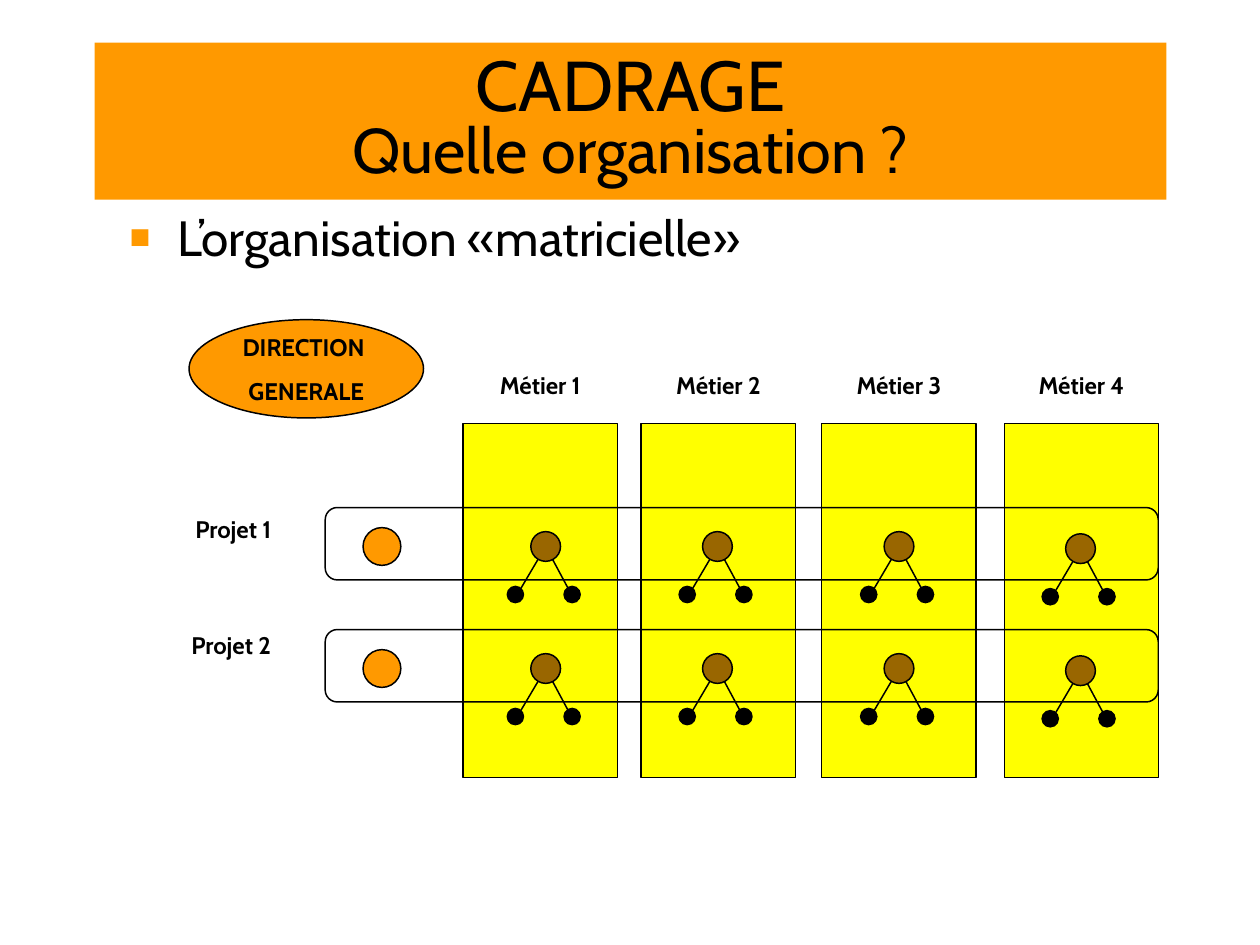
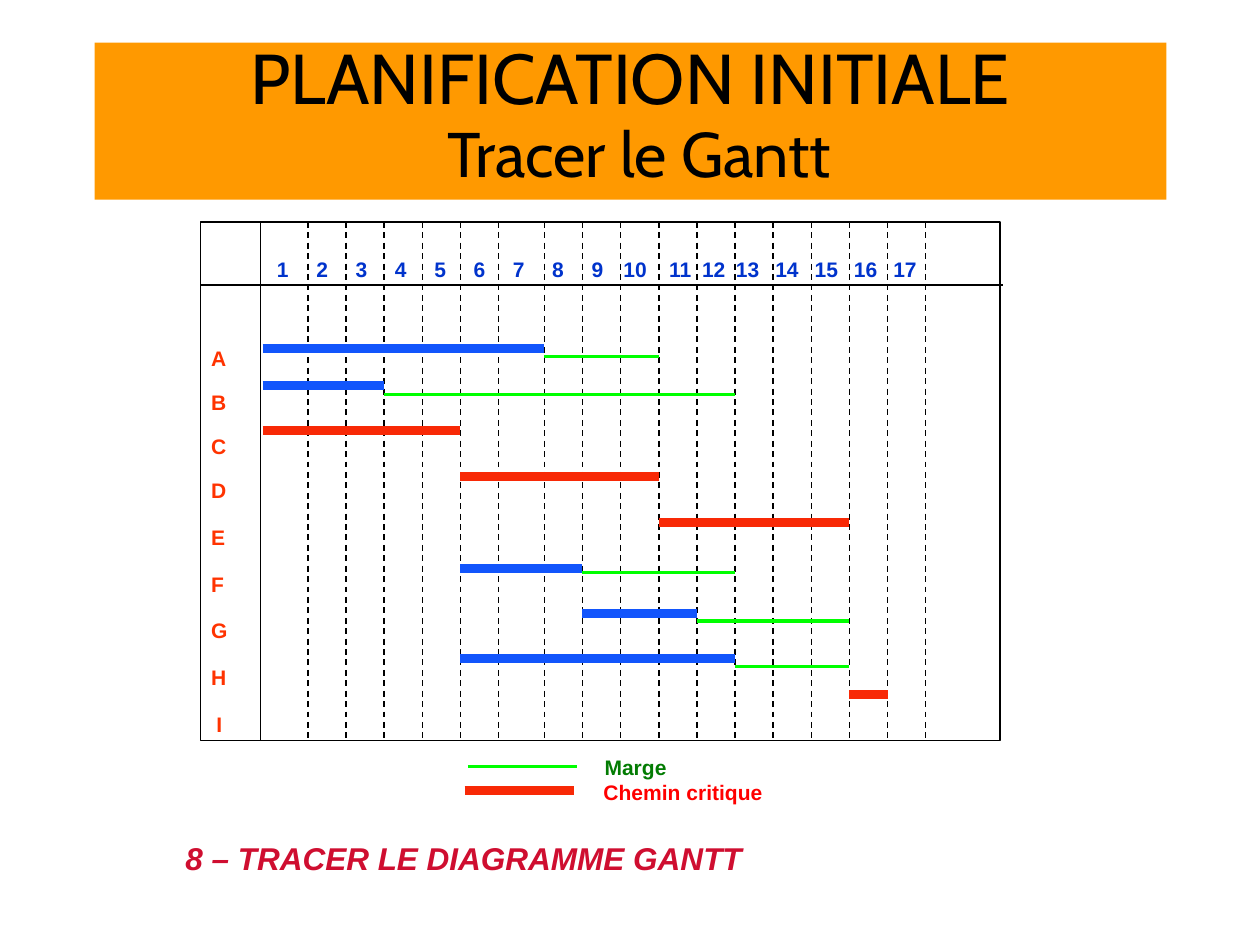
from dataclasses import dataclass

from lxml import etree
from pptx import Presentation
from pptx.dml.color import RGBColor
from pptx.enum.dml import MSO_LINE
from pptx.enum.shapes import MSO_CONNECTOR, MSO_SHAPE
from pptx.enum.text import MSO_ANCHOR, PP_ALIGN
from pptx.oxml.ns import qn
from pptx.util import Cm, Inches, Pt

RECT, OVAL, ROUND = MSO_SHAPE.RECTANGLE, MSO_SHAPE.OVAL, MSO_SHAPE.ROUNDED_RECTANGLE
STRAIGHT, DASH = MSO_CONNECTOR.STRAIGHT, MSO_LINE.DASH
LEFT, CENTER = PP_ALIGN.LEFT, PP_ALIGN.CENTER
TOP, MIDDLE = MSO_ANCHOR.TOP, MSO_ANCHOR.MIDDLE

CELL = 0.1  # inches, side of a square grid cell


@dataclass(frozen=True)
class Theme:
    font: str = "Cabin"
    chart_font: str = "Arial"
    ink: str = "000000"
    paper: str = "FFFFFF"
    orange: str = "FF9900"
    yellow: str = "FFFF00"
    brown: str = "996600"
    task: str = "1255FC"
    critical: str = "F82906"
    slack: str = "00FF00"
    day: str = "0033CC"
    letter: str = "FF3300"
    slack_text: str = "037C03"
    critical_text: str = "FF0000"
    caption: str = "CF0E30"
    title_size: int = 47
    title_gap_size: int = 51
    subtitle_size: int = 42
    body_size: int = 33
    caption_size: int = 21
    label_size: int = 16
    chart_size: int = 14
    thin: int = 1
    slack_width: int = 2
    bar_width: int = 6


T = Theme()


def grid(*cells):
    return [Inches(c * CELL) for c in cells]


def rgb(value):
    return RGBColor.from_string(value)


def add_run(p, text, size, color=T.ink, font=T.font, bold=False, italic=False):
    r = p.add_run()
    r.text = text
    f = r.font
    f.name, f.size, f.bold, f.italic = font, Pt(size), bold, italic
    f.color.rgb = rgb(color)


def add_text(tf, text, *, align=LEFT, first=False, before=0, line=None, indent=0,
             bullet=None, tabs=(), **run_format):
    """Add one paragraph, filling the empty one when first is set."""
    p = tf.paragraphs[0] if first else tf.add_paragraph()
    p.alignment = align
    if before:
        p.space_before = Pt(before)
    if line:
        p.line_spacing = line
    pPr = p._p.get_or_add_pPr()
    if indent:
        pPr.set("marL", str(grid(indent)[0]))
    if bullet:
        pPr.set("indent", str(-grid(indent)[0]))
        color_el = etree.SubElement(pPr, qn("a:buClr"))
        etree.SubElement(color_el, qn("a:srgbClr"), val=T.orange)
        etree.SubElement(pPr, qn("a:buSzPct"), val="70000")
        etree.SubElement(pPr, qn("a:buFont"), typeface=T.chart_font)
        etree.SubElement(pPr, qn("a:buChar"), char=bullet)
    if tabs:
        stops = etree.SubElement(pPr, qn("a:tabLst"))
        for pos in tabs:
            etree.SubElement(stops, qn("a:tab"), pos=str(grid(pos)[0]), algn="l")
    add_run(p, text, **run_format)
    return p


class Deck:
    def __init__(self, prs):
        self.prs = prs
        self.s = None

    def new_slide(self):
        self.s = self.prs.slides.add_slide(self.prs.slide_layouts[6])

    def title(self, title, *second_line):
        """Draw the title band; second_line holds pairs of text and size."""
        tf = self.frame(self.shape(RECT, 8.75, 3.95, 99.2, 14.55, T.orange, None), MIDDLE)
        p = add_text(tf, title, size=T.title_size, align=CENTER, line=0.8, first=True)
        p.add_line_break()
        for text, size in second_line:
            add_run(p, text, size)

    def frame(self, sp, anchor=TOP, margins=(1.2, 0.6, 1.2, 0.6)):
        """Prepare the text frame of a shape."""
        tf = sp.text_frame
        tf.word_wrap = True
        tf.vertical_anchor = anchor
        (tf.margin_left, tf.margin_top,
         tf.margin_right, tf.margin_bottom) = grid(*margins)
        return tf

    def text(self, x, y, w, h, text, anchor=TOP, **fmt):
        sp = self.s.shapes.add_textbox(*grid(x, y, w, h))
        add_text(self.frame(sp, anchor), text, first=True, **fmt)

    def shape(self, kind, x, y, w, h, fill, line=T.ink):
        sp = self.s.shapes.add_shape(kind, *grid(x, y, w, h))
        sp.shadow.inherit = False
        if fill:
            sp.fill.solid()
            sp.fill.fore_color.rgb = rgb(fill)
        else:
            sp.fill.background()
        if line:
            sp.line.color.rgb = rgb(line)
            sp.line.width = Pt(T.thin)
        else:
            sp.line.fill.background()
        return sp

    def disc(self, cx, cy, d, fill):
        self.shape(OVAL, cx - d / 2, cy - d / 2, d, d, fill)

    def line(self, x1, y1, x2, y2, color=T.ink, width=T.thin, dash=None):
        cn = self.s.shapes.add_connector(STRAIGHT, *grid(x1, y1, x2, y2))
        cn.line.color.rgb = rgb(color)
        cn.line.width = Pt(width)
        if dash:
            cn.line.dash_style = dash
        etree.SubElement(cn._element.spPr, qn("a:effectLst"))

    def team(self, cx, cy):
        """Draw a team leader above two members."""
        self.line(cx, cy, cx - 2.3, cy + 3.9)
        self.line(cx, cy, cx + 2.2, cy + 4.1)
        for dx in (-2.8, 2.45):
            self.disc(cx + dx, cy + 4.45, 1.5, T.ink)
        self.disc(cx, cy, 2.75, T.brown)


def matrix_slide(deck):
    deck.new_slide()
    deck.text(10.8, 18.6, 78.4, 9.4, "L’organisation «matricielle»",
              size=T.body_size, indent=4.4, bullet="■")
    label = dict(size=T.label_size, bold=True, align=CENTER)

    # left of the trade column, centre of its team, drop of the team
    trades = [(42.85, 50.5, 0), (59.35, 66.4, 0), (76.05, 83.2, 0), (92.95, 100, 0.2)]
    for n, (left, _, _) in enumerate(trades, 1):
        deck.shape(RECT, left, 39.2, 14.3, 32.8, T.yellow)
        deck.text(left, 34.1, 14.3, 3, f"Métier {n}", MIDDLE, **label)

    projects = [(47, 13.1, 47), (58.3, 12.9, 57.8)]
    for n, (top, label_left, label_top) in enumerate(projects, 1):
        deck.text(label_left, label_top, 17, 3.8, f"Projet {n}", **label)
        for _, cx, drop in trades:
            deck.team(cx, top + 3.6 + drop)
        deck.shape(ROUND, 30.1, top, 77.1, 6.7, None)
        deck.disc(35.35, top + 3.6, 3.5, T.orange)

    tf = deck.frame(deck.shape(OVAL, 17.5, 29.6, 21.7, 9.1, T.orange), MIDDLE)
    add_text(tf, "DIRECTION ", first=True, **label)
    add_text(tf, "GENERALE", before=10, **label)
    deck.title("CADRAGE", ("Quelle organisation ?", T.subtitle_size))


def day_end(n):
    """Column where day n ends; day 0 is the start of the chart."""
    if n == 0:
        return 24.3
    return 28.5 + 3.53 * (n - 1) + (0.7 if n > 6 else 0)


def day_tab(n):
    nudge = {10: 0.5, 11: 1.1, 12: 0.5}
    return (6.1 if n < 10 else 4.9) + 3.64 * (n - 1) + nudge.get(n, 0)


def gantt_slide(deck):
    deck.new_slide()
    days = range(1, 18)
    top, bottom = 20.55, 68.55
    chart = dict(size=T.chart_size, font=T.chart_font, bold=True)

    sp = deck.shape(RECT, 18.55, top, 74, bottom - top, T.paper)
    tf = deck.frame(sp, margins=(1, 1, 0, 0))
    add_text(tf, "".join(f"\t{n}" for n in days), first=True, color=T.day,
             line=Pt(33), tabs=[day_tab(n) for n in days], **chart)
    for letter in "ABCDEFGHI":
        add_text(tf, letter, color=T.letter, before=30 if letter == "A" else 0,
                 line=Pt(29.3 if letter < "E" else 31.1),
                 indent=0.5 if letter == "I" else 0, **chart)

    deck.line(18.6, 26.4, 92.8, 26.4)
    deck.line(24.1, top, 24.1, bottom)
    for n in days:
        deck.line(day_end(n), top, day_end(n), bottom, dash=DASH)

    # row, first and last day line, colour, then row and end of the slack
    tasks = [
        (32.3, 0, 7, T.task, 33, 10),
        (35.7, 0, 3, T.task, 36.5, 12),
        (39.9, 0, 5, T.critical, None, None),
        (44.1, 5, 10, T.critical, None, None),
        (48.35, 10, 15, T.critical, None, None),
        (52.6, 5, 8, T.task, 53, 12),
        (56.8, 8, 11, T.task, 57.5, 15),
        (61, 5, 12, T.task, 61.75, 15),
        (64.35, 15, 16, T.critical, None, None),
    ]
    for y, start, end, color, slack_y, slack_end in tasks:
        deck.line(day_end(start), y, day_end(end), y, color, T.bar_width)
        if slack_end:
            deck.line(day_end(end), slack_y, day_end(slack_end), slack_y,
                      T.slack, T.slack_width)

    deck.line(43.3, 70.95, 53.4, 70.95, T.slack, T.slack_width)
    deck.text(54.75, 69.25, 12, 3.5, "Marge", color=T.slack_text, **chart)
    deck.line(43, 73.15, 53.1, 73.15, T.critical, T.bar_width)
    deck.text(54.65, 71.55, 20, 3.5, "Chemin critique", color=T.critical_text, **chart)
    deck.text(15.95, 77.05, 60, 4.7, "8 – TRACER LE DIAGRAMME GANTT",
              size=T.caption_size, font=T.chart_font, color=T.caption,
              bold=True, italic=True)
    deck.title("PLANIFICATION INITIALE", (" ", T.title_gap_size),
               ("Tracer le Gantt", T.subtitle_size))


def main():
    prs = Presentation()
    prs.slide_width = Cm(29.62)
    prs.slide_height = Inches(8.75)
    deck = Deck(prs)
    matrix_slide(deck)
    gantt_slide(deck)
    prs.save("out.pptx")


if __name__ == "__main__":
    main()
